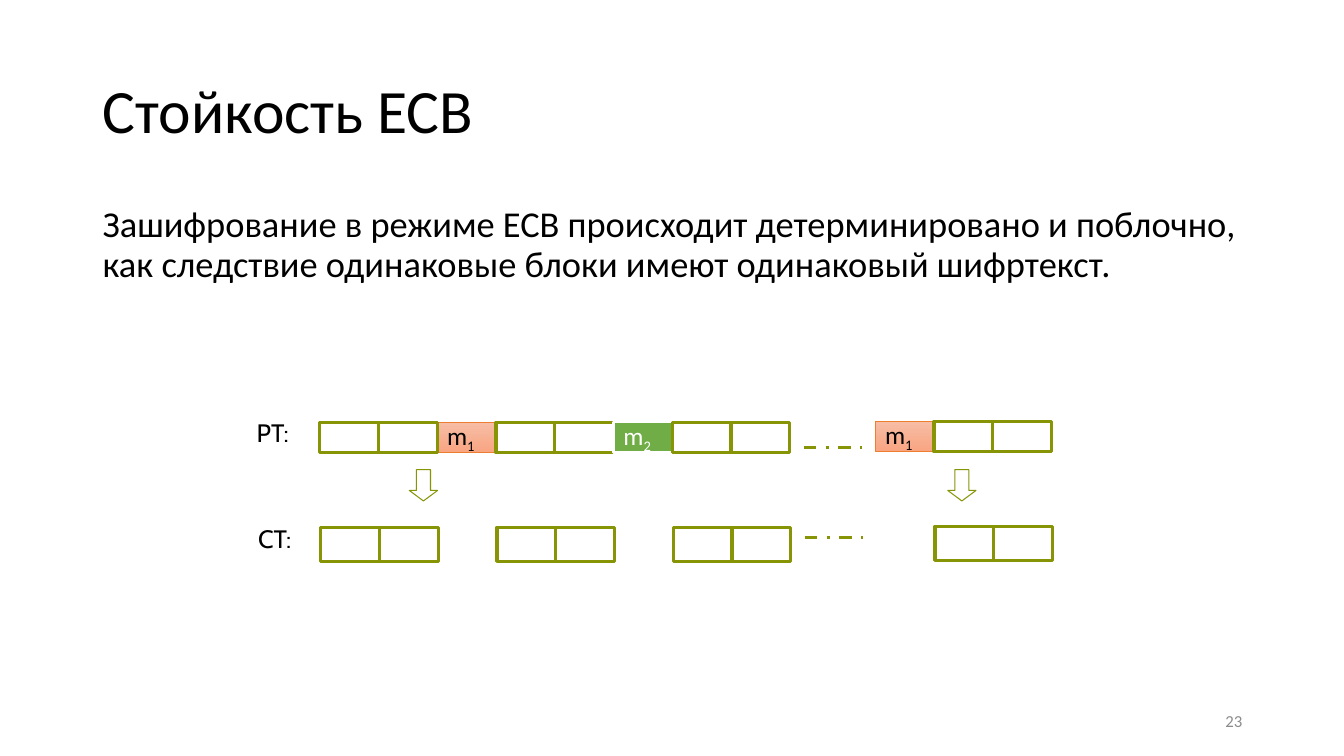
from lxml import etree
from pptx import Presentation
from pptx.dml.color import RGBColor
from pptx.enum.dml import MSO_LINE_DASH_STYLE as DASH
from pptx.enum.shapes import MSO_CONNECTOR, MSO_SHAPE
from pptx.enum.text import MSO_ANCHOR as ANCHOR, PP_ALIGN as ALIGN
from pptx.oxml.ns import qn
from pptx.util import Inches, Pt

COLORS = {
    "text": "000000",
    "white": "FFFFFF",
    "number": "8C8C8C",
    "olive": "869406",
    "green": "70AD47",
    "orange": "ED7D31",
    "peach_top": "F7BDA5",
    "peach_bottom": "F8A582",
}
CELL = 0.583
REPEATED = {"name": "m", "index": "1", "fill": "peach", "line": "orange", "width": 0.5}
DIFFERENT = {"name": "m", "index": "2", "fill": "green", "line": "white",
             "width": 1.5, "color": "white"}


def rgb(name):
    return RGBColor.from_string(COLORS[name])


class SlideBuilder:
    """Draws styled elements on the current slide."""

    def __init__(self, slide, font="Calibri"):
        self.slide = slide
        self.font = font

    def style_run(self, run, size, color, font=None):
        run.font.name = font or self.font
        run.font.size = Pt(size)
        run.font.color.rgb = rgb(color)

    def text(self, box, text, size, color="text", font=None, align=ALIGN.LEFT,
             anchor=ANCHOR.TOP, spacing=1.0, wrap=True):
        shape = self.slide.shapes.add_textbox(*map(Inches, box))
        frame = shape.text_frame
        frame.text = text
        frame.word_wrap = wrap
        frame.vertical_anchor = anchor
        paragraph = frame.paragraphs[0]
        paragraph.alignment = align
        paragraph.line_spacing = spacing
        self.style_run(paragraph.runs[0], size, color, font)

    def shape(self, kind, box, line="olive", width=2.25, fill=None):
        shape = self.slide.shapes.add_shape(kind, *map(Inches, box))
        shape.shadow.inherit = False
        shape.line.color.rgb = rgb(line)
        shape.line.width = Pt(width)
        if fill == "peach":
            shape.fill.gradient()
            shape.fill.gradient_angle = 270
            for stop, edge in zip(shape.fill.gradient_stops, ("peach_top", "peach_bottom")):
                stop.color.rgb = rgb(edge)
        elif fill:
            shape.fill.solid()
            shape.fill.fore_color.rgb = rgb(fill)
        else:
            shape.fill.background()
        return shape

    def block(self, left, top, height, name=None, index=None, color="text", **style):
        shape = self.shape(MSO_SHAPE.RECTANGLE, (left, top, CELL, height), **style)
        if name:
            frame = shape.text_frame
            frame.word_wrap = False
            frame.vertical_anchor = ANCHOR.MIDDLE
            paragraph = frame.paragraphs[0]
            paragraph.alignment = ALIGN.LEFT
            for part in (name, index):
                run = paragraph.add_run()
                run.text = part
                self.style_run(run, 18, color)
            run.font._element.set("baseline", "-25000")

    def arrow(self, left, top):
        shape = self.shape(MSO_SHAPE.DOWN_ARROW, (left, top, 0.28, 0.31), width=0.75)
        shape.adjustments[0] = 0.5
        shape.adjustments[1] = 0.37

    def ellipsis(self, left, top):
        line = self.slide.shapes.add_connector(
            MSO_CONNECTOR.STRAIGHT, *map(Inches, (left, top, left + CELL, top)))
        line.line.color.rgb = rgb("olive")
        line.line.width = Pt(2.25)
        line.line.dash_style = DASH.DASH_DOT
        etree.SubElement(line._element.spPr, qn("a:effectLst"))

    def row(self, label, label_box, left, top, height, dash_top, marked):
        self.text(label_box, label, 18, font="Cabin", align=ALIGN.CENTER, wrap=False)
        for column in (2, 0, 1, 3, 4, 5, 6, 7):
            if column in marked or column not in (2, 5):
                self.block(left + column * CELL, top, height, **marked.get(column, {}))
        self.ellipsis(left + 4.8, dash_top)
        tail = left + 5.51
        for column in range(3):
            if column in marked or column:
                self.block(tail + column * CELL, top - 0.01, height,
                           **marked.get("tail", {}) if column == 0 else {})


def main():
    presentation = Presentation()
    presentation.slide_width = Inches(13.33)
    presentation.slide_height = Inches(7.5)
    slide = presentation.slides.add_slide(presentation.slide_layouts[6])
    builder = SlideBuilder(slide)

    builder.text((0.92, 0.4, 11.5, 1.45), "Стойкость ECB", 44,
                 anchor=ANCHOR.MIDDLE, spacing=0.9)
    builder.text((0.92, 2, 11.5, 0.97),
                 "Зашифрование в режиме ECB происходит детерминировано и поблочно, "
                 "как следствие одинаковые блоки имеют одинаковый шифртекст.",
                 26, spacing=0.9)
    builder.text((9.42, 6.95, 3, 0.4), "23", 12, "number",
                 align=ALIGN.RIGHT, anchor=ANCHOR.MIDDLE)

    for left in (4.06, 9.4):
        builder.arrow(left, 4.66)
    plain_marks = {2: REPEATED, 5: DIFFERENT, 0: {}, "tail": REPEATED}
    builder.row("PT:", (2.43, 4.09, 0.55, 0.4), 3.17, 4.19, 0.3, 4.44, plain_marks)
    builder.row("CT:", (2.44, 5.14, 0.57, 0.4), 3.18, 5.23, 0.34, 5.33, {})

    presentation.save("out.pptx")


if __name__ == "__main__":
    main()
